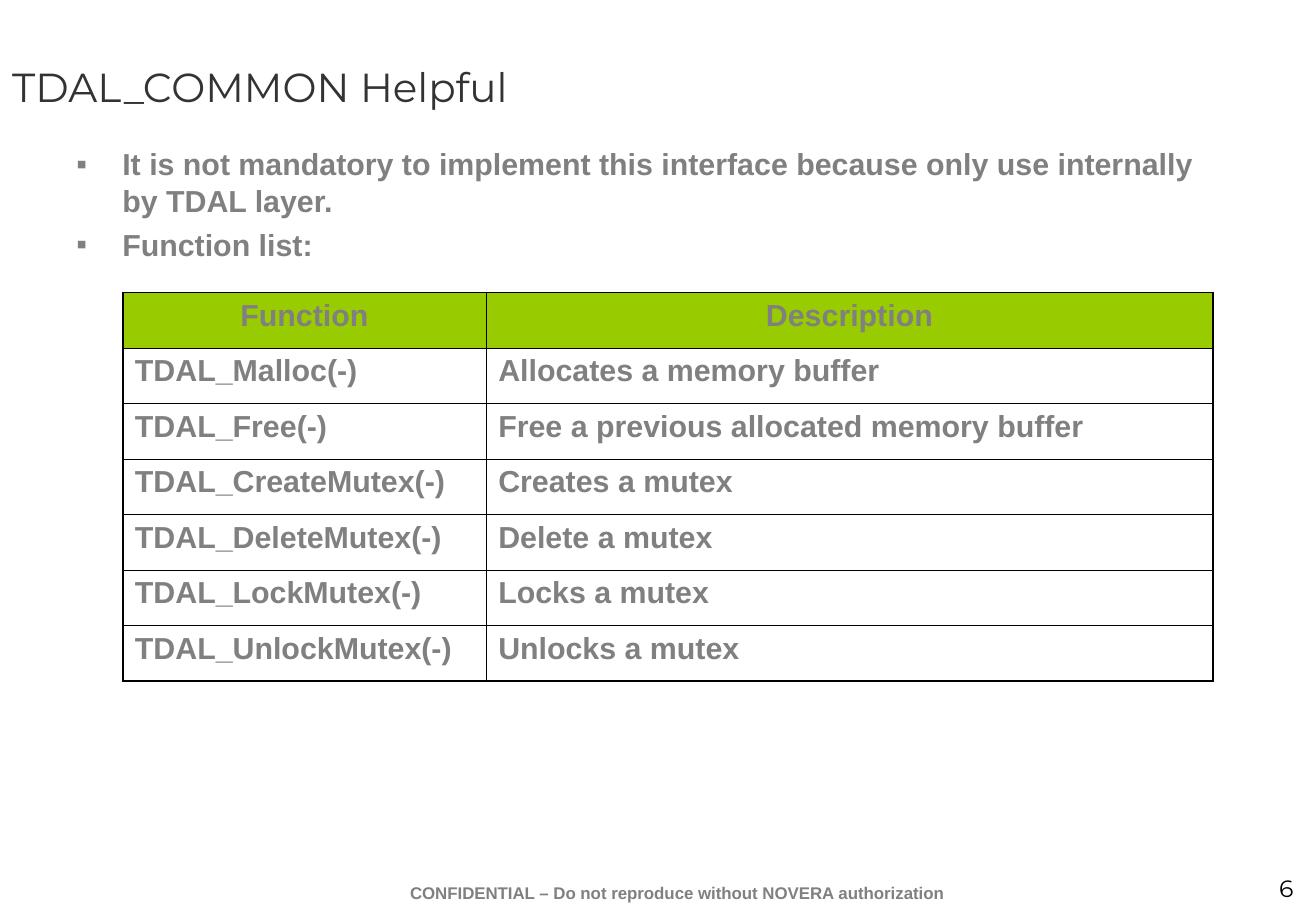
from dataclasses import dataclass
from lxml import etree
from pptx import Presentation
from pptx import util as u
from pptx.dml.color import RGBColor
from pptx.enum import text
from pptx.oxml import ns

TITLE = "TDAL_COMMON Helpful"
POINTS = [
    "It is not mandatory to implement this interface because only use internally by TDAL layer.",
    "Function list:",
]
FUNCTIONS = [
    ("Function", "Description"),
    ("TDAL_Malloc(-)", "Allocates a memory buffer"),
    ("TDAL_Free(-)", "Free a previous allocated memory buffer"),
    ("TDAL_CreateMutex(-)", "Creates a mutex"),
    ("TDAL_DeleteMutex(-)", "Delete a mutex"),
    ("TDAL_LockMutex(-)", "Locks a mutex"),
    ("TDAL_UnlockMutex(-)", "Unlocks a mutex"),
]
CONFIDENTIALITY = "CONFIDENTIAL – Do not reproduce without NOVERA authorization"
PAGE_NUMBER = "6"


@dataclass(frozen=True)
class Style:
    font: str
    size: float
    color: str
    bold: bool = False


@dataclass(frozen=True)
class Theme:
    title: Style = Style("Montserrat", 24, "333333")
    body: Style = Style("Arial", 18, "808080", True)
    footer: Style = Style("Arial", 10, "808080", True)
    number: Style = Style("Montserrat", 14, "000000")
    header_fill: str = "99CC00"
    border: str = "000000"
    outer_line: float = 1.08
    inner_line: float = 0.45
    space_before: float = 4.5


THEME = Theme()
ALIGN = text.PP_ALIGN


def format_paragraph(paragraph, style, align=ALIGN.LEFT, before=0):
    paragraph.alignment = align
    paragraph.space_before = u.Pt(before)
    for run in paragraph.runs:
        run.font.name = style.font
        run.font.size = u.Pt(style.size)
        run.font.bold = style.bold
        run.font.color.rgb = RGBColor.from_string(style.color)


def add_text(slide, box, lines, style, align=ALIGN.LEFT, before=0):
    frame = slide.shapes.add_textbox(*map(u.Cm, box)).text_frame
    frame.word_wrap = True
    frame.text = "\n".join(lines)
    for paragraph in frame.paragraphs:
        format_paragraph(paragraph, style, align, before)
    return frame


def add_bullet(paragraph, indent, color):
    properties = paragraph._p.get_or_add_pPr()
    properties.set("marL", str(indent))
    properties.set("indent", str(-indent))
    bullet_color = etree.SubElement(properties, ns.qn("a:buClr"))
    etree.SubElement(bullet_color, ns.qn("a:srgbClr"), val=color)
    etree.SubElement(properties, ns.qn("a:buFont"), typeface="Arial")
    etree.SubElement(properties, ns.qn("a:buChar"), char="▪")


def set_borders(cell, outer_edges):
    properties = cell._tc.get_or_add_tcPr()
    for index, (edge, is_outer) in enumerate(outer_edges.items()):
        points = THEME.outer_line if is_outer else THEME.inner_line
        line = etree.Element(ns.qn(f"a:ln{edge}"), w=str(u.Pt(points)))
        fill = etree.SubElement(line, ns.qn("a:solidFill"))
        etree.SubElement(fill, ns.qn("a:srgbClr"), val=THEME.border)
        properties.insert(index, line)


def add_function_table(slide, left, top, column_widths, row_height):
    row_count, column_count = len(FUNCTIONS), len(column_widths)
    table = slide.shapes.add_table(
        row_count, column_count, u.Cm(left), u.Cm(top),
        u.Cm(sum(column_widths)), u.Cm(row_height * row_count),
    ).table
    table.horz_banding = False
    for column, width in zip(table.columns, column_widths):
        column.width = u.Cm(width)
    for r, entry in enumerate(FUNCTIONS):
        table.rows[r].height = u.Cm(row_height)
        for c, label in enumerate(entry):
            cell = table.cell(r, c)
            cell.text_frame.text = label
            align = ALIGN.LEFT if r else ALIGN.CENTER
            format_paragraph(cell.text_frame.paragraphs[0], THEME.body, align, THEME.space_before)
            if r:
                cell.fill.background()
            else:
                cell.fill.solid()
                cell.fill.fore_color.rgb = RGBColor.from_string(THEME.header_fill)
            set_borders(cell, {
                "L": c == 0,
                "R": c == column_count - 1,
                "T": r == 0,
                "B": r == row_count - 1,
            })


deck = Presentation()
deck.slide_width, deck.slide_height = u.Cm(27.53), u.Cm(19.05)
slide = deck.slides.add_slide(deck.slide_layouts[5])

heading = slide.shapes.title
heading.left, heading.top, heading.width, heading.height = map(u.Cm, (0, 0, 27.5, 3.6))
heading.text_frame.text = TITLE
heading.text_frame.auto_size = text.MSO_AUTO_SIZE.NONE
heading.text_frame.vertical_anchor = text.MSO_ANCHOR.MIDDLE
format_paragraph(heading.text_frame.paragraphs[0], THEME.title)

points = add_text(slide, (1.35, 2.92, 24.38, 12.57), POINTS, THEME.body, before=THEME.space_before)
for point in points.paragraphs:
    add_bullet(point, u.Cm(0.96), THEME.body.color)

add_function_table(slide, 2.57, 6.12, (7.6, 15.2), 1.16)

add_text(slide, (6.76, 18.34, 14.8, 0.71), [CONFIDENTIALITY], THEME.footer, ALIGN.CENTER)
add_text(slide, (24.36, 18.14, 2.95, 0.84), [PAGE_NUMBER], THEME.number, ALIGN.RIGHT)

deck.save("out.pptx")
